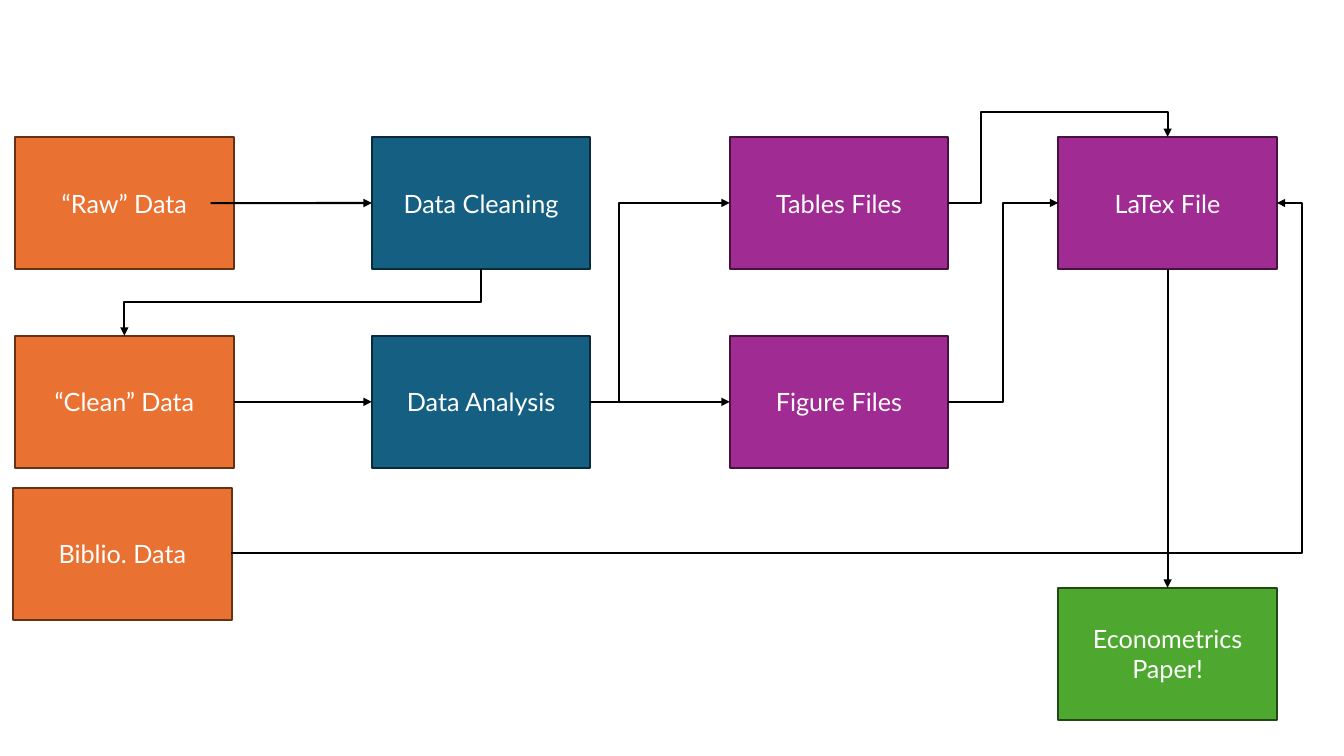
from lxml.etree import SubElement
from pptx import Presentation
from pptx.dml.color import RGBColor
from pptx.enum.shapes import MSO_CONNECTOR as Link, MSO_SHAPE as Shape
from pptx.enum.text import MSO_ANCHOR as Anchor, PP_ALIGN as Align
from pptx.oxml.ns import qn
from pptx.util import Cm, Pt

WHITE = RGBColor(0xFF, 0xFF, 0xFF)
BLACK = RGBColor(0x00, 0x00, 0x00)
DATA = (RGBColor(0xE9, 0x71, 0x32), RGBColor(0x66, 0x32, 0x16))
CODE = (RGBColor(0x15, 0x60, 0x82), RGBColor(0x09, 0x2A, 0x39))
FILES = (RGBColor(0xA0, 0x2B, 0x93), RGBColor(0x46, 0x13, 0x40))
PAPER = (RGBColor(0x4E, 0xA7, 0x2E), RGBColor(0x22, 0x49, 0x14))

TOP, LEFT, BOTTOM, RIGHT = range(4)
BOX_WIDTH, BOX_HEIGHT = 5.51, 3.33
COLUMNS = (0.38, 9.37, 18.39, 26.67)
ROWS = (3.45, 8.46, 12.29, 14.81)

BOXES = [
    ("“Raw” Data", 0, 0, DATA),
    ("Data Cleaning", 1, 0, CODE),
    ("“Clean” Data", 0, 1, DATA),
    ("Data Analysis", 1, 1, CODE),
    ("Tables Files", 2, 0, FILES),
    ("Figure Files", 2, 1, FILES),
    ("LaTex File", 3, 0, FILES),
    ("Biblio. Data", 0, 2, DATA),
    ("Econometrics Paper!", 3, 3, PAPER),
]
STRAIGHT_ARROWS = [
    ("“Clean” Data", RIGHT, "Data Analysis", LEFT),
    ("Data Analysis", RIGHT, "Figure Files", LEFT),
    ("LaTex File", BOTTOM, "Econometrics Paper!", TOP),
]
BENT_ARROWS = [
    ("Data Analysis", RIGHT, "Tables Files", LEFT, (0.204,)),
    ("Tables Files", RIGHT, "LaTex File", TOP, (0.15, 1.381)),
    ("Figure Files", RIGHT, "LaTex File", LEFT, (0.5,)),
]
RAW_ARROW_START = (5.31, 5.12)
BIBLIO_ARROW_START = (5.82, 13.93)


def add_box(page, text, column, row, colors):
    box = page.shapes.add_shape(
        Shape.RECTANGLE, Cm(COLUMNS[column]), Cm(ROWS[row]), Cm(BOX_WIDTH), Cm(BOX_HEIGHT))
    box.shadow.inherit = False
    box.fill.solid()
    box.fill.fore_color.rgb, box.line.color.rgb = colors
    box.line.width = Pt(1.5)
    frame = box.text_frame
    frame.word_wrap = True
    frame.vertical_anchor = Anchor.MIDDLE
    para = frame.paragraphs[0]
    para.text = text
    para.alignment = Align.CENTER
    para.font.name = "Lato"
    para.font.size = Pt(18)
    para.font.color.rgb = WHITE
    return box


def add_arrow(page, kind, target, target_side, source=None, source_side=None, start=(0, 0)):
    arrow = page.shapes.add_connector(kind, Cm(start[0]), Cm(start[1]), 0, 0)
    if source is not None:
        arrow.begin_connect(source, source_side)
    arrow.end_connect(target, target_side)
    arrow.line.color.rgb = BLACK
    arrow.line.width = Pt(1.5)
    SubElement(arrow.line._get_or_add_ln(), qn("a:tailEnd"), type="triangle")
    SubElement(arrow._element.spPr, qn("a:effectLst"))
    return arrow


def set_bends(arrow, bends):
    geometry = arrow._element.spPr.find(qn("a:prstGeom"))
    geometry.set("prst", f"bentConnector{len(bends) + 2}")
    guides = geometry.find(qn("a:avLst"))
    for number, bend in enumerate(bends, 1):
        SubElement(guides, qn("a:gd"), name=f"adj{number}", fmla=f"val {round(bend * 100000)}")


def turn_downward(arrow):
    left, top, width, height = arrow.left, arrow.top, arrow.width, arrow.height
    arrow.left = left + (width - height) // 2
    arrow.top = top + (height - width) // 2
    arrow.width, arrow.height = height, width
    frame = arrow._element.spPr.find(qn("a:xfrm"))
    frame.attrib.pop("flipH", None)
    frame.set("rot", str(90 * 60000))


def main():
    deck = Presentation()
    deck.slide_width, deck.slide_height = Cm(33.87), Cm(19.05)
    page = deck.slides.add_slide(deck.slide_layouts[6])

    boxes = {item[0]: add_box(page, *item) for item in BOXES}
    boxes["Biblio. Data"].left = Cm(0.33)

    for source, source_side, target, target_side in STRAIGHT_ARROWS:
        add_arrow(page, Link.STRAIGHT, boxes[target], target_side, boxes[source], source_side)
    add_arrow(page, Link.STRAIGHT, boxes["Data Cleaning"], LEFT, start=RAW_ARROW_START)

    for source, source_side, target, target_side, bends in BENT_ARROWS:
        arrow = add_arrow(
            page, Link.ELBOW, boxes[target], target_side, boxes[source], source_side)
        set_bends(arrow, bends)
    biblio_arrow = add_arrow(
        page, Link.ELBOW, boxes["LaTex File"], RIGHT, start=BIBLIO_ARROW_START)
    set_bends(biblio_arrow, (1.024,))
    cleaning_arrow = add_arrow(
        page, Link.ELBOW, boxes["“Clean” Data"], TOP, boxes["Data Cleaning"], BOTTOM)
    set_bends(cleaning_arrow, (0.5,))
    turn_downward(cleaning_arrow)

    deck.save("out.pptx")


if __name__ == "__main__":
    main()
